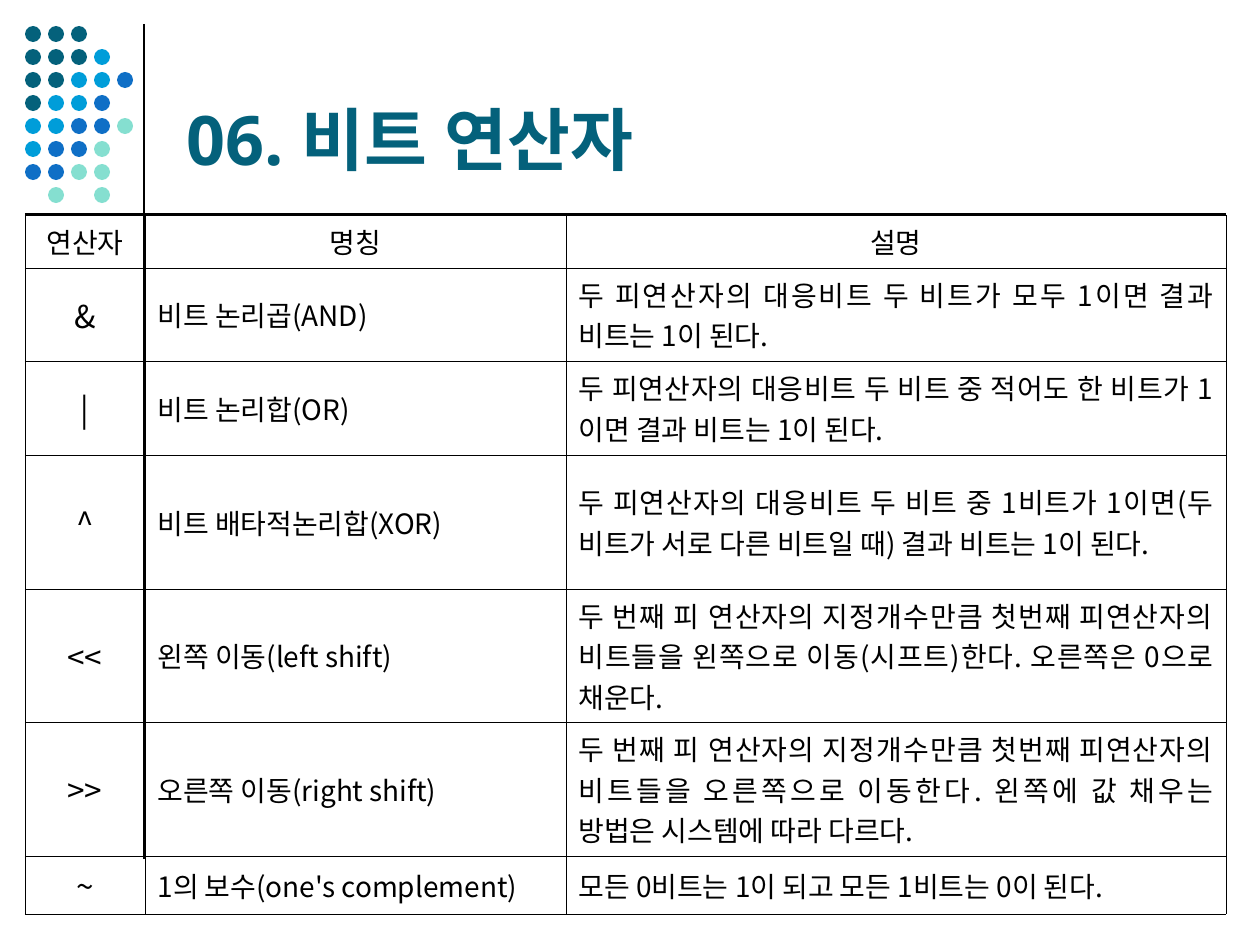
from lxml.etree import SubElement
from pptx import Presentation
from pptx.dml.color import RGBColor
from pptx.enum.shapes import MSO_CONNECTOR, MSO_SHAPE
from pptx.enum.text import MSO_ANCHOR as ANCHOR, PP_ALIGN as ALIGN
from pptx.oxml.ns import qn
from pptx.util import Emu, Pt

BLACK = RGBColor(0x00, 0x00, 0x00)
TEAL = RGBColor(0x04, 0x61, 0x7B)
SKY = RGBColor(0x00, 0x9D, 0xD9)
BLUE = RGBColor(0x0F, 0x6F, 0xC6)
MINT = RGBColor(0x85, 0xDF, 0xD0)

DOT_COLORS = {"T": TEAL, "S": SKY, "B": BLUE, "M": MINT}
DOT_ROWS = ["TTT", "TTTS", "TTSSB", "TSSB", "SSBBM", "SBBM", "BBMM", " M M"]
DOT_PITCH, DOT_SIZE = 23, 16

TITLE = {"name": "Noto Sans", "size": Pt(39), "bold": True}
BODY = {"name": "Noto Sans CJK KR", "size": Pt(16), "bold": False}
SYMBOL = {**BODY, "size": Pt(18)}

COLUMN_WIDTHS = [120, 421, 660]
ROW_HEIGHTS = [53, 93, 94, 134, 133, 134, 58]
HEADER = ("연산자", "명칭", "설명")
OPERATORS = [
    ("&", "비트 논리곱(AND)",
     "두 피연산자의 대응비트 두 비트가 모두 1이면 결과 비트는 1이 된다."),
    ("|", "비트 논리합(OR)",
     "두 피연산자의 대응비트 두 비트 중 적어도 한 비트가 1이면 결과 비트는 1이 된다."),
    ("^", "비트 배타적논리합(XOR)",
     "두 피연산자의 대응비트 두 비트 중 1비트가 1이면(두 비트가 서로 다른 비트일 때) "
     "결과 비트는 1이 된다."),
    ("<<", "왼쪽 이동(left shift)",
     "두 번째 피 연산자의 지정개수만큼 첫번째 피연산자의 비트들을 왼쪽으로 "
     "이동(시프트)한다. 오른쪽은 0으로 채운다."),
    (">>", "오른쪽 이동(right shift)",
     "두 번째 피 연산자의 지정개수만큼 첫번째 피연산자의 비트들을 오른쪽으로 "
     "이동한다. 왼쪽에 값 채우는 방법은 시스템에 따라 다르다."),
    ("~", "1의 보수(one's complement)",
     "모든 0비트는 1이 되고 모든 1비트는 0이 된다."),
]


def px(length):
    return Emu(round(length * 914400 / 126))


def write(para, text, style, color, align):
    para.alignment = align
    span = para.add_run()
    span.text = text
    for key, value in style.items():
        setattr(span.font, key, value)
    span.font.color.rgb = color
    SubElement(span.font._element, qn("a:ea"), typeface=style["name"])


def add_rule(page, start, end):
    ends = [px(value) for value in (*start, *end)]
    rule = page.shapes.add_connector(MSO_CONNECTOR.STRAIGHT, *ends)
    rule.line.color.rgb = BLACK
    rule.line.width = Pt(0.75)
    SubElement(rule._element.spPr, qn("a:effectLst"))


def add_dots(page, left, top):
    group = page.shapes.add_group_shape()
    for row, codes in enumerate(DOT_ROWS):
        for column, code in enumerate(codes):
            if code == " ":
                continue
            dot = group.shapes.add_shape(
                MSO_SHAPE.OVAL, px(left + column * DOT_PITCH),
                px(top + row * DOT_PITCH), px(DOT_SIZE), px(DOT_SIZE))
            dot.shadow.inherit = False
            dot.fill.solid()
            dot.fill.fore_color.rgb = DOT_COLORS[code]
            dot.line.fill.background()


def add_title(page, left, top, width, height):
    box = page.shapes.add_textbox(px(left), px(top), px(width), px(height))
    frame = box.text_frame
    frame.word_wrap = True
    frame.vertical_anchor = ANCHOR.BOTTOM
    write(frame.paragraphs[0], "06. 비트 연산자", TITLE, TEAL, ALIGN.LEFT)


def add_borders(cell):
    properties = cell._tc.get_or_add_tcPr()
    for index, side in enumerate(("a:lnL", "a:lnR", "a:lnT", "a:lnB")):
        line = properties.makeelement(qn(side), {"w": "762"})
        fill = SubElement(line, qn("a:solidFill"))
        SubElement(fill, qn("a:srgbClr"), val=str(BLACK))
        properties.insert(index, line)


def add_operator_table(page, left, top):
    rows = [HEADER, *OPERATORS]
    table = page.shapes.add_table(
        len(rows), len(HEADER), px(left), px(top),
        px(sum(COLUMN_WIDTHS)), px(sum(ROW_HEIGHTS))).table
    table.first_row = table.horz_banding = False
    for column, width in zip(table.columns, COLUMN_WIDTHS):
        column.width = px(width)
    for row, height in zip(table.rows, ROW_HEIGHTS):
        row.height = px(height)
    for row, texts in enumerate(rows):
        for column, text in enumerate(texts):
            cell = table.cell(row, column)
            cell.fill.background()
            cell.vertical_anchor = ANCHOR.MIDDLE
            add_borders(cell)
            centred = row == 0 or column == 0
            style = SYMBOL if row and column == 0 else BODY
            write(cell.text_frame.paragraphs[0], text, style, BLACK,
                  ALIGN.CENTER if centred else ALIGN.JUSTIFY)


def main():
    deck = Presentation()
    deck.slide_width, deck.slide_height = px(1260), px(945)
    page = deck.slides.add_slide(deck.slide_layouts[6])
    add_rule(page, (144, 24), (144, 859))
    add_dots(page, 25, 26)
    add_rule(page, (25, 214), (1226, 214))
    add_title(page, 174, 26, 1040, 159)
    add_operator_table(page, 25, 215)
    deck.save("out.pptx")


if __name__ == "__main__":
    main()
